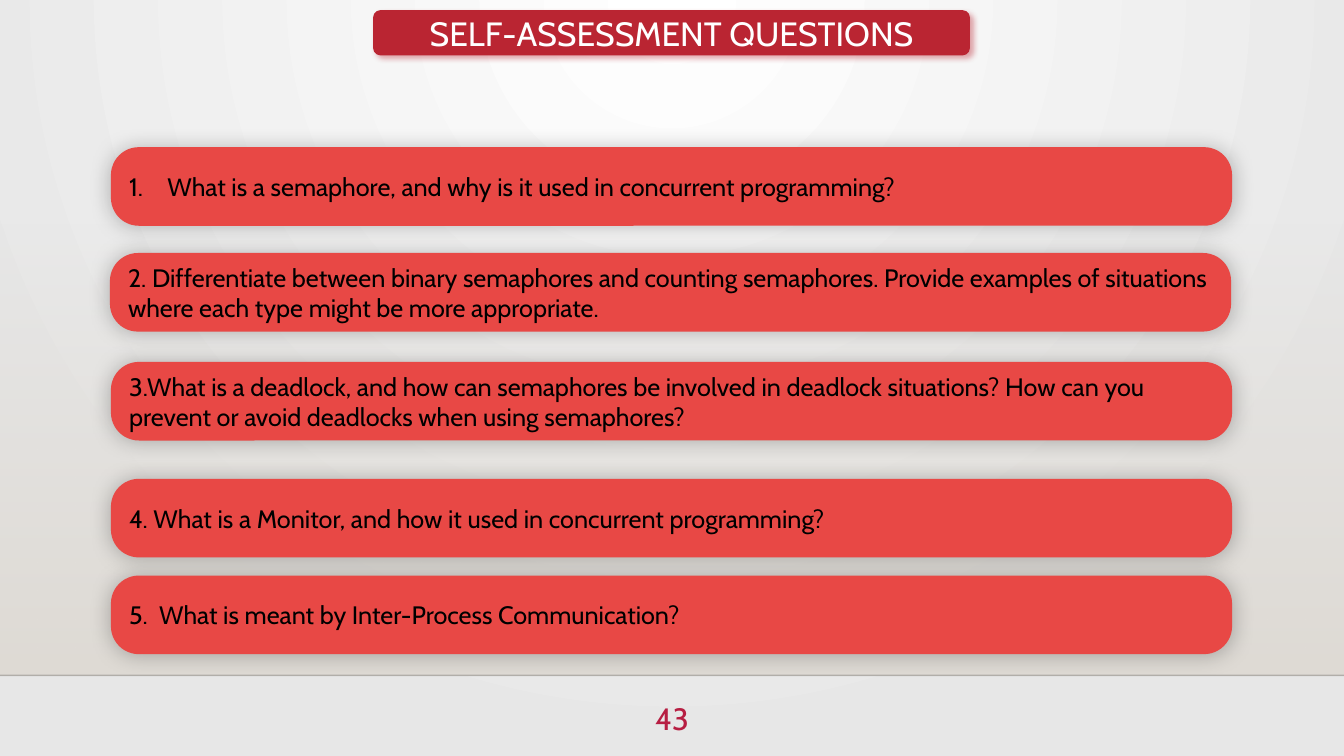
from dataclasses import dataclass

from pptx import Presentation
from pptx.dml.color import RGBColor
from pptx.enum.shapes import MSO_CONNECTOR as Connector, MSO_SHAPE as Shape
from pptx.enum.text import MSO_ANCHOR as Anchor, PP_ALIGN as Align
from pptx.oxml import parse_xml
from pptx.oxml.ns import nsdecls, qn
from pptx.util import Inches, Pt


@dataclass(frozen=True)
class Theme:
    font: str = "Cabin"
    title_size: int = 24
    question_size: int = 18
    number_size: int = 22
    title_fill: str = "BA2532"
    title_text: str = "FFFFFF"
    card_fill: str = "E84845"
    card_text: str = "000000"
    number_text: str = "B71E42"
    glow: str = "FFFFFF"
    backdrop: str = "E7E7E7"
    floor: str = "DFDBD5"
    rule: str = "000001"


THEME = Theme()
SLIDE_WIDTH, SLIDE_HEIGHT = 13.33, 7.5
FLOOR_TOP, FLOOR_BOTTOM = 2.21, 6.7
CARD_WIDTH, CARD_HEIGHT = 11.12, 0.78

QUESTIONS = [
    (1.1, 1.46, "What is a semaphore, and why is it used in concurrent programming?"),
    (1.09, 2.51, "2. Differentiate between binary semaphores and counting semaphores. "
     "Provide examples of situations where each type might be more appropriate."),
    (1.1, 3.59, "3.What is a deadlock, and how can semaphores be involved in deadlock "
     "situations? How can you prevent or avoid deadlocks when using semaphores?"),
    (1.1, 4.75, "4. What is a Monitor, and how it used in concurrent programming?"),
    (1.1, 5.71, "5.  What is meant by Inter-Process Communication?"),
]


def gradient(start, end, start_alpha, direction):
    return (
        f'<a:gradFill {nsdecls("a")} rotWithShape="1"><a:gsLst>'
        f'<a:gs pos="0"><a:srgbClr val="{start}"><a:alpha val="{start_alpha * 1000}"/></a:srgbClr></a:gs>'
        f'<a:gs pos="100000"><a:srgbClr val="{end}"/></a:gs>'
        f'</a:gsLst>{direction}</a:gradFill>'
    )


def add_shadow(shape, color, alpha, blur, distance, angle):
    shape.shadow.inherit = False
    effects = shape._element.spPr.find(qn("a:effectLst"))
    effects.append(parse_xml(
        f'<a:outerShdw {nsdecls("a")} blurRad="{Pt(blur)}" dist="{Pt(distance)}" '
        f'dir="{angle * 60000}" algn="ctr" rotWithShape="0">'
        f'<a:srgbClr val="{color}"><a:alpha val="{alpha * 1000}"/></a:srgbClr></a:outerShdw>'
    ))


def write(shape, text, size, color, align):
    frame = shape.text_frame
    frame.word_wrap = True
    frame.vertical_anchor = Anchor.MIDDLE
    para = frame.paragraphs[0]
    para.alignment = align
    span = para.add_run()
    span.text = text
    span.font.name = THEME.font
    span.font.size = Pt(size)
    span.font.color.rgb = RGBColor.from_string(color)
    return para


def add_panel(page, left, top, width, height, fill, kind=Shape.ROUNDED_RECTANGLE):
    panel = page.shapes.add_shape(kind, Inches(left), Inches(top), Inches(width), Inches(height))
    panel.fill.solid()
    panel.fill.fore_color.rgb = RGBColor.from_string(fill)
    panel.line.fill.background()
    panel.shadow.inherit = False
    return panel


def add_backdrop(page, width):
    radial = ('<a:path path="circle">'
              '<a:fillToRect l="43000" t="0" r="43000" b="100000"/></a:path>')
    page.element.cSld.insert(0, parse_xml(
        f'<p:bg {nsdecls("p")}><p:bgPr>{gradient(THEME.glow, THEME.backdrop, 100, radial)}'
        f'<a:effectLst {nsdecls("a")}/></p:bgPr></p:bg>'
    ))

    floor = add_panel(page, 0, FLOOR_TOP, width, FLOOR_BOTTOM - FLOOR_TOP, THEME.floor, Shape.RECTANGLE)
    properties = floor._element.spPr
    vertical = '<a:lin ang="5400000" scaled="0"/>'
    properties.replace(properties.find(qn("a:solidFill")),
                       parse_xml(gradient(THEME.floor, THEME.floor, 0, vertical)))

    rule = page.shapes.add_connector(Connector.STRAIGHT, 0, Inches(FLOOR_BOTTOM),
                                     Inches(width), Inches(FLOOR_BOTTOM))
    rule.line.width = Pt(1)
    rule.line.color.rgb = RGBColor.from_string(THEME.rule)
    rule.line._ln.find(".//" + qn("a:srgbClr")).append(
        parse_xml(f'<a:alpha {nsdecls("a")} val="20000"/>'))
    rule._element.spPr.append(parse_xml(f'<a:effectLst {nsdecls("a")}/>'))


def add_title(page, left, top, width, height):
    banner = add_panel(page, left, top, width, height, THEME.title_fill)
    add_shadow(banner, THEME.title_fill, 40, 4, 3, 45)
    write(banner, "SELF-ASSESSMENT QUESTIONS", THEME.title_size, THEME.title_text, Align.CENTER)


def add_question(page, left, top, width, height, text):
    card = add_panel(page, left, top, width, height, THEME.card_fill)
    card.adjustments[0] = 0.356
    add_shadow(card, THEME.card_text, 25, 15, 0, 0)
    return write(card, text, THEME.question_size, THEME.card_text, Align.LEFT)


def number_paragraph(para, indent):
    properties = para._p.get_or_add_pPr()
    properties.set("marL", str(Inches(indent)))
    properties.set("indent", str(-Inches(indent)))
    properties.append(parse_xml(f'<a:buFont {nsdecls("a")} typeface="+mj-lt"/>'))
    properties.append(parse_xml(f'<a:buAutoNum {nsdecls("a")} type="arabicPeriod"/>'))


def add_page_number(page, left, top, width, height):
    box = page.shapes.add_textbox(Inches(left), Inches(top), Inches(width), Inches(height))
    write(box, "43", THEME.number_size, THEME.number_text, Align.CENTER)


def main():
    deck = Presentation()
    deck.slide_width, deck.slide_height = Inches(SLIDE_WIDTH), Inches(SLIDE_HEIGHT)
    page = deck.slides.add_slide(deck.slide_layouts[6])
    add_backdrop(page, SLIDE_WIDTH)
    add_page_number(page, 6.22, 6.88, 0.89, 0.5)
    add_title(page, 3.7, 0.1, 5.92, 0.45)
    paras = [add_question(page, left, top, CARD_WIDTH, CARD_HEIGHT, text)
             for left, top, text in QUESTIONS]
    number_paragraph(paras[0], 0.38)
    deck.save("out.pptx")


if __name__ == "__main__":
    main()
